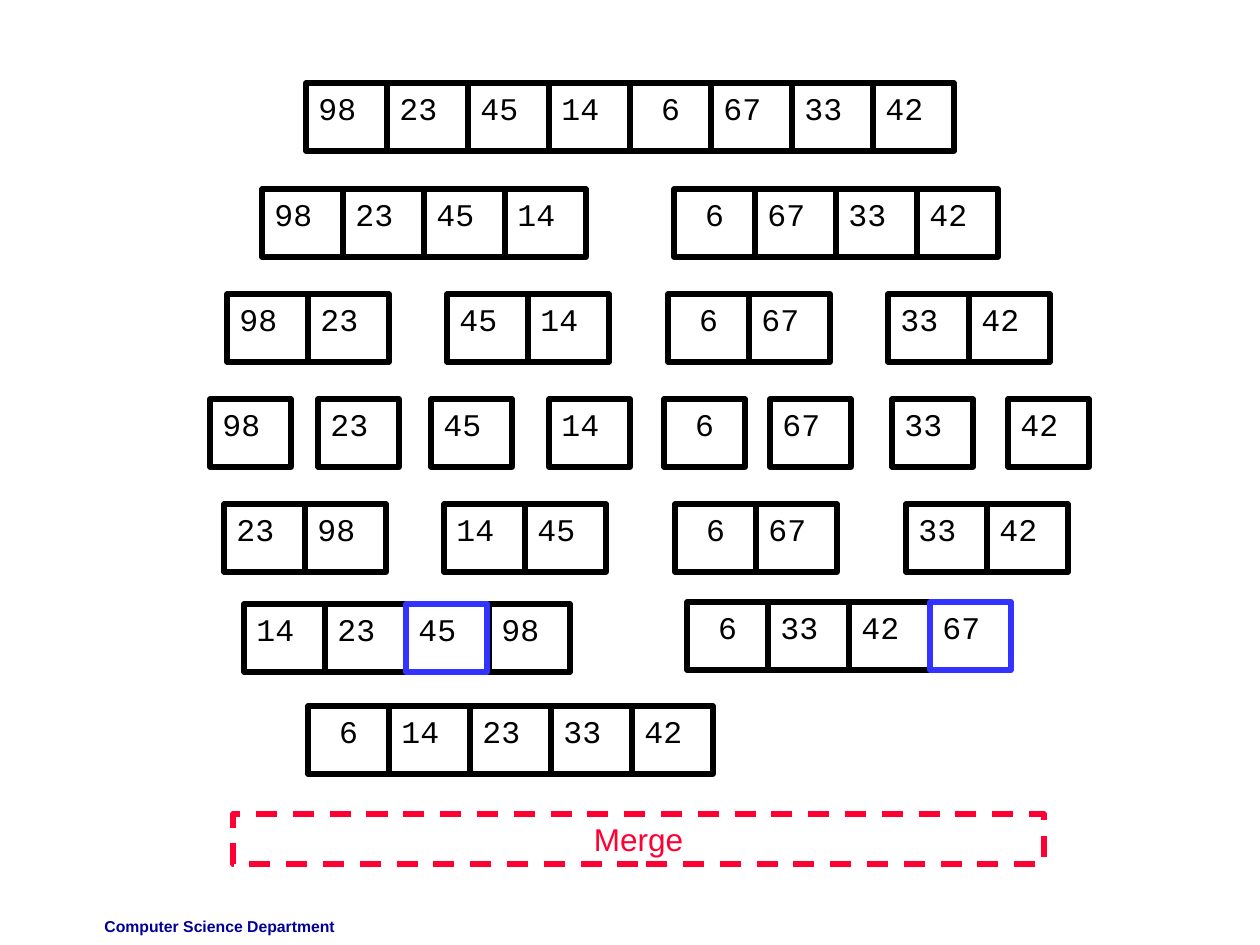
import pptx
import pptx.dml.color
import pptx.enum.dml
import pptx.enum.shapes
import pptx.enum.text
import pptx.util

PX = pptx.util.Inches(1) / 126
BLACK = pptx.dml.color.RGBColor(0x00, 0x00, 0x00)
BLUE = pptx.dml.color.RGBColor(0x33, 0x33, 0xFF)
RED = pptx.dml.color.RGBColor(0xFF, 0x00, 0x33)
NAVY = pptx.dml.color.RGBColor(0x00, 0x00, 0x99)
ALIGN = pptx.enum.text.PP_ALIGN

CELL_WIDTH, CELL_HEIGHT = 81, 68

# Each array: left, top, values
SPLIT_ARRAYS = [
    (306, 83, [98, 23, 45, 14, 6, 67, 33, 42]),
    (262, 189, [98, 23, 45, 14]), (674, 189, [6, 67, 33, 42]),
    (227, 294, [98, 23]), (447, 294, [45, 14]),
    (668, 294, [6, 67]), (888, 294, [33, 42]),
    (210, 399, [98]), (318, 399, [23]), (431, 399, [45]), (549, 399, [14]),
    (664, 399, [6]), (770, 399, [67]), (892, 399, [33]), (1008, 399, [42]),
]
MERGED_ARRAYS = [
    (224, 504, [23, 98]), (444, 504, [14, 45]),
    (675, 504, [6, 67]), (906, 504, [33, 42]),
    (244, 604, [14, 23]), (489, 604, [98]), (687, 602, [6, 33, 42]),
    (308, 706, [6, 14, 23, 33, 42]),
]
# Next values to be compared
CURRENT_ITEMS = [(406, 604, [45]), (930, 602, [67])]


def px(*lengths):
    return [pptx.util.Emu(round(length * PX)) for length in lengths]


def write(shape, text, font_name, size, color, align, bold=False):
    frame = shape.text_frame
    frame.text = text
    frame.vertical_anchor = pptx.enum.text.MSO_ANCHOR.TOP
    para = frame.paragraphs[0]
    para.alignment = align
    font = para.runs[0].font
    font.name = font_name
    font.size = pptx.util.Pt(size)
    font.bold = bold
    font.color.rgb = color


def add_outline(page, left, top, width, height, color):
    box = page.shapes.add_shape(
        pptx.enum.shapes.MSO_SHAPE.RECTANGLE, *px(left, top, width, height))
    box.shadow.inherit = False
    box.fill.background()
    box.line.color.rgb = color
    box.line.width = pptx.util.Pt(3)
    return box


def add_array(page, left, top, values, color=BLACK):
    for index, value in enumerate(values):
        cell = add_outline(page, left + index * CELL_WIDTH, top,
                           CELL_WIDTH, CELL_HEIGHT, color)
        align = ALIGN.CENTER if value < 10 else ALIGN.LEFT
        write(cell, str(value), "Courier New", 18, BLACK, align)
        cell.text_frame.word_wrap = False


def add_step_label(page, text):
    label = add_outline(page, 233, 814, 811, 50, RED)
    label.line.dash_style = pptx.enum.dml.MSO_LINE.DASH
    write(label, text, "Arial", 18, RED, ALIGN.CENTER)
    label.text_frame.auto_size = pptx.enum.text.MSO_AUTO_SIZE.SHAPE_TO_FIT_TEXT


def add_footer(page, text):
    footer = page.shapes.add_textbox(*px(53, 911, 294, 34))
    footer.text_frame.word_wrap = True
    write(footer, text, "Arial", 9, NAVY, ALIGN.RIGHT, bold=True)


def main():
    deck = pptx.Presentation()
    deck.slide_width = pptx.util.Inches(10)
    deck.slide_height = pptx.util.Inches(7.5)
    page = deck.slides.add_slide(deck.slide_layouts[6])

    add_footer(page, "Computer Science Department")
    for left, top, values in SPLIT_ARRAYS + MERGED_ARRAYS:
        add_array(page, left, top, values)
    add_step_label(page, "Merge")
    # Highlights lie over the neighbouring cells
    for left, top, values in CURRENT_ITEMS:
        add_array(page, left, top, values, BLUE)

    deck.save("out.pptx")


if __name__ == "__main__":
    main()
